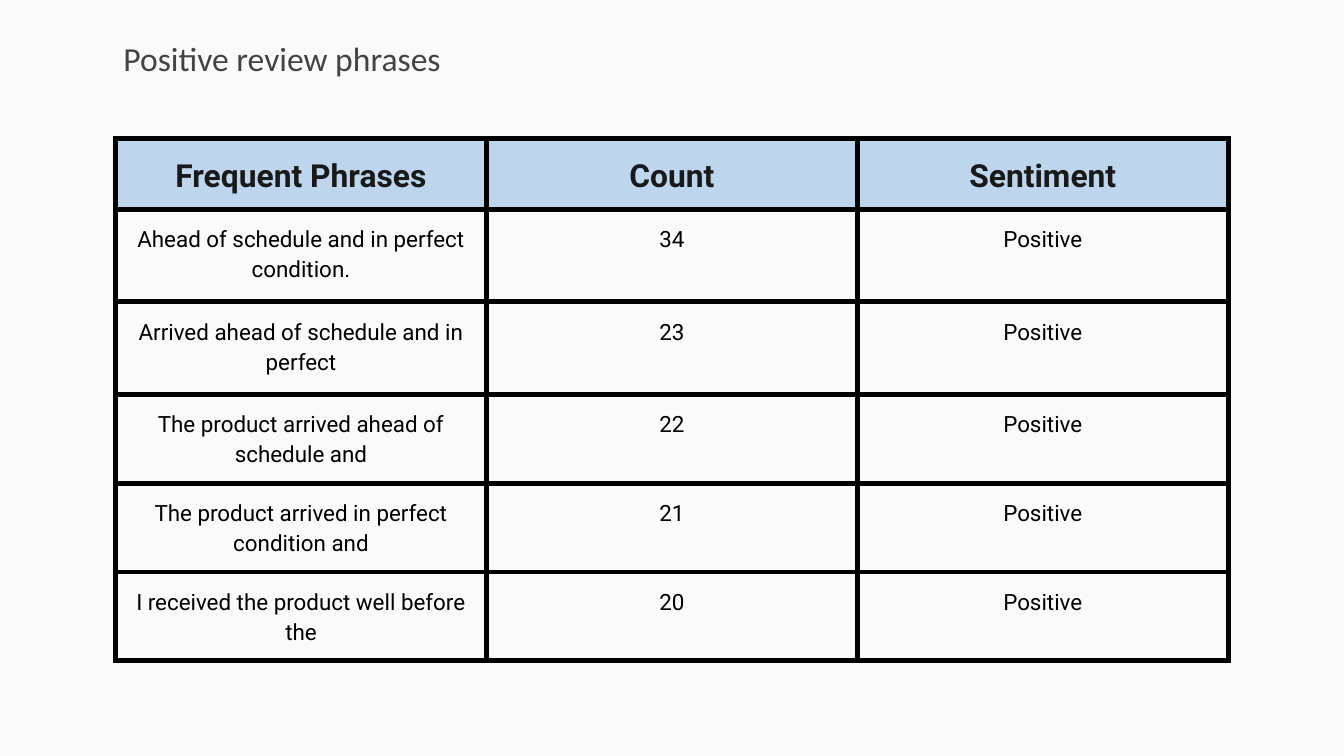
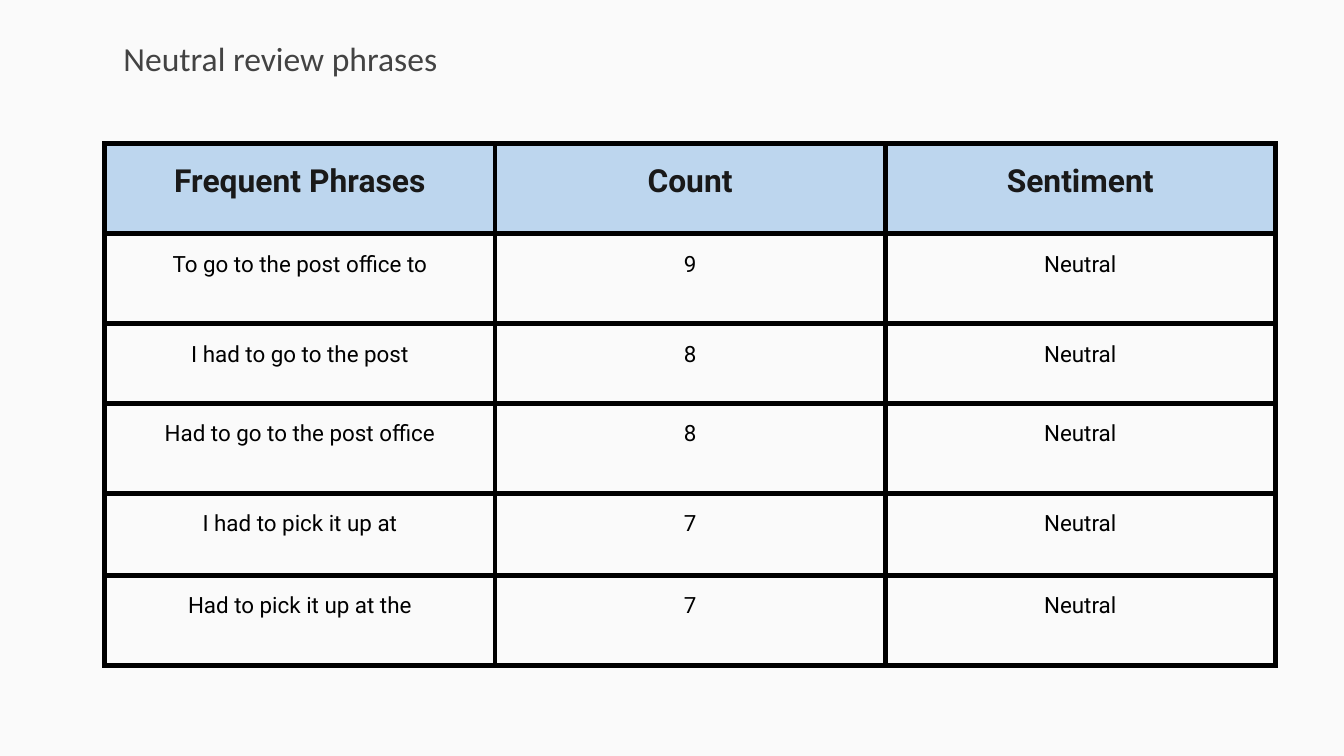
from dataclasses import dataclass

from lxml import etree
from pptx import Presentation
from pptx.dml.color import RGBColor
from pptx.enum.text import MSO_ANCHOR, PP_ALIGN
from pptx.oxml.ns import qn
from pptx.slide import Slide
from pptx.table import _Cell
from pptx.text.text import _Paragraph
from pptx.util import Inches, Pt

CENTER = PP_ALIGN.CENTER
MIDDLE = MSO_ANCHOR.MIDDLE
BLANK_LAYOUT = 6

SLIDE_WIDTH = Inches(10)
SLIDE_HEIGHT = SLIDE_WIDTH * 9 // 16

COLORS = {
    "background": "FAFAFA",
    "title": "434343",
    "header_fill": "BDD6EE",
    "header": "191919",
    "body": "000000",
    "border": "000000",
}

FONTS = {
    "title": {"name": "Calibri", "size": Pt(18), "bold": False},
    "header": {"name": "Roboto", "size": Pt(17), "bold": True},
    "body": {"name": "Roboto", "size": Pt(12), "bold": False},
}

TITLE_MARGINS = {side: Inches(0.1) for side in
                 ("margin_left", "margin_top", "margin_right", "margin_bottom")}
CELL_MARGINS = TITLE_MARGINS | {"margin_left": Inches(0.07), "margin_right": Inches(0.07)}
CELL_PARAGRAPH = {"alignment": CENTER, "line_spacing": 1.15}

HEADINGS = ("Frequent Phrases", "Count", "Sentiment")
BORDER_WIDTH = Pt(3)


@dataclass(frozen=True)
class PhraseSlide:
    sentiment: str
    left: float
    top: float
    width: float
    height: float
    row_heights: tuple[float, ...]
    phrase_counts: tuple[tuple[str, int], ...]


PHRASE_SLIDES = (
    PhraseSlide(
        "Positive", 0.86, 1.03, 8.28, 3.84, (0.27, 0.69, 0.69, 0.5, 0.5, 0.5),
        (
            ("Ahead of schedule and in perfect condition.", 34),
            ("Arrived ahead of schedule and in perfect", 23),
            ("The product arrived ahead of schedule and", 22),
            ("The product arrived in perfect condition and", 21),
            ("I received the product well before the", 20),
        ),
    ),
    PhraseSlide(
        "Neutral", 0.78, 1.07, 8.71, 3.87, (0.67, 0.67, 0.59, 0.67, 0.61, 0.67),
        (
            ("To go to the post office to", 9),
            ("I had to go to the post", 8),
            ("Had to go to the post office", 8),
            ("I had to pick it up at", 7),
            ("Had to pick it up at the", 7),
        ),
    ),
)


def apply(target: object, values: dict) -> None:
    for attribute, value in values.items():
        setattr(target, attribute, value)


def write(paragraph: _Paragraph, text: str, role: str) -> None:
    run = paragraph.add_run()
    run.text = text
    apply(run.font, FONTS[role])
    run.font.color.rgb = RGBColor.from_string(COLORS[role])


def add_borders(cell: _Cell) -> None:
    properties = cell._tc.get_or_add_tcPr()
    for edge in ("a:lnL", "a:lnR", "a:lnT", "a:lnB"):
        line = etree.SubElement(properties, qn(edge), w=str(BORDER_WIDTH))
        fill = etree.SubElement(line, qn("a:solidFill"))
        etree.SubElement(fill, qn("a:srgbClr"), val=COLORS["border"])


def fill_cell(cell: _Cell, text: str, role: str) -> None:
    apply(cell, CELL_MARGINS)
    add_borders(cell)
    if role == "header":
        cell.fill.solid()
        cell.fill.fore_color.rgb = RGBColor.from_string(COLORS["header_fill"])
    else:
        cell.fill.background()
    paragraph = cell.text_frame.paragraphs[0]
    apply(paragraph, CELL_PARAGRAPH)
    write(paragraph, text, role)


def add_title(slide: Slide, text: str) -> None:
    title = slide.shapes.add_textbox(Inches(0.82), Inches(0.17), Inches(3.49), Inches(0.53))
    frame = title.text_frame
    apply(frame, TITLE_MARGINS | {"word_wrap": True, "vertical_anchor": MIDDLE})
    write(frame.paragraphs[0], text, "title")


def add_phrase_table(slide: Slide, content: PhraseSlide) -> None:
    rows = [HEADINGS] + [
        (phrase, str(count), content.sentiment) for phrase, count in content.phrase_counts
    ]
    table_frame = slide.shapes.add_table(
        len(rows), len(HEADINGS), Inches(content.left), Inches(content.top),
        Inches(content.width), Inches(content.height),
    )
    phrases = table_frame.table
    apply(phrases, {"first_row": False, "horz_banding": False})
    for column in phrases.columns:
        column.width = Inches(content.width / len(HEADINGS))
    for row, height in zip(phrases.rows, content.row_heights):
        row.height = Inches(height)
    # Rows grow with their text, so the frame keeps its own height
    table_frame.height = Inches(content.height)
    for row_index, values in enumerate(rows):
        role = "body" if row_index else "header"
        for column_index, value in enumerate(values):
            fill_cell(phrases.cell(row_index, column_index), value, role)


def main() -> None:
    deck = Presentation()
    apply(deck, {"slide_width": SLIDE_WIDTH, "slide_height": SLIDE_HEIGHT})

    # Shared background
    background = deck.slide_master.background.fill
    background.solid()
    background.fore_color.rgb = RGBColor.from_string(COLORS["background"])

    # One slide per sentiment
    for content in PHRASE_SLIDES:
        slide = deck.slides.add_slide(deck.slide_layouts[BLANK_LAYOUT])
        add_title(slide, f"{content.sentiment} review phrases")
        add_phrase_table(slide, content)

    deck.save("out.pptx")


if __name__ == "__main__":
    main()
